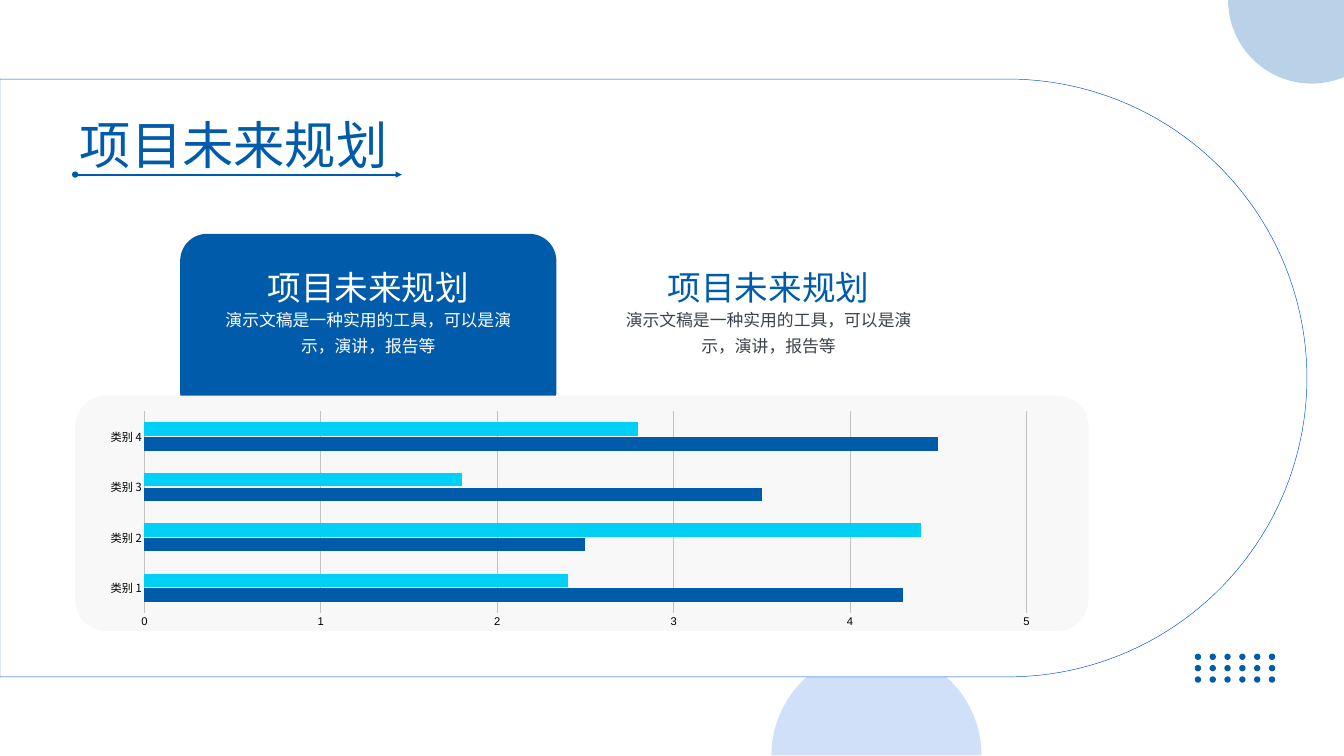
"""Build the project planning slide with a two-series bar chart."""
import math
from dataclasses import dataclass

from lxml import etree
from pptx import Presentation
from pptx import util as u
from pptx.chart import data as cd
from pptx.dml import color
from pptx.enum import chart as ce, shapes, text
from pptx.oxml import ns

Cm = u.Cm
HEADING = "项目未来规划"
BODY = "演示文稿是一种实用的工具，可以是演示，演讲，报告等"


@dataclass(frozen=True)
class Theme:
    """Colours, fonts and type sizes of the slide."""
    blue: str = "005BAB"
    outline: str = "0058E0"
    cyan: str = "00CFF6"
    white: str = "FFFFFF"
    panel: str = "F8F8F8"
    grid: str = "C2C2C2"
    grey: str = "3B424B"
    black: str = "000000"
    cjk: str = "Noto Sans CJK SC"
    latin: str = "Arial"
    title: float = 55
    heading: float = 36
    body: float = 18
    label: float = 12


T = Theme()


def rgb(value):
    """Return a hex string as a colour."""
    return color.RGBColor.from_string(value)


def paint(sp, fill, alpha=None, line=None):
    """Give a shape a flat fill, with optional opacity and outline."""
    sp.shadow.inherit = False
    sp.fill.solid()
    sp.fill.fore_color.rgb = rgb(fill)
    if alpha:
        clr = sp._element.spPr.find(".//" + ns.qn("a:srgbClr"))
        etree.SubElement(clr, ns.qn("a:alpha"), val=str(alpha * 1000))
    if line:
        sp.line.color.rgb = rgb(line)
        sp.line.width = u.Pt(0.5)
    else:
        sp.line.fill.background()


def add_arc_shape(s, cx, cy, r, start, end, corners=()):
    """Add a closed outline made of a circular arc, in degrees, and corners."""
    steps = 90
    angles = [math.radians(start + (end - start) * i / steps) for i in range(steps + 1)]
    points = [(cx + r * math.cos(a), cy + r * math.sin(a)) for a in angles]
    points = [(Cm(x), Cm(y)) for x, y in points + list(corners)]
    builder = s.shapes.build_freeform(*points[0])
    builder.add_line_segments(points[1:], close=True)
    return builder.convert_to_shape()


def add_rounded(s, x, y, w, h, radius, fill):
    """Add a rounded rectangle with the given corner radius."""
    kind = shapes.MSO_SHAPE.ROUNDED_RECTANGLE
    sp = s.shapes.add_shape(kind, Cm(x), Cm(y), Cm(w), Cm(h))
    sp.adjustments[0] = radius / min(w, h)
    paint(sp, fill)


def add_dots(s, x, y, cols, rows):
    """Add a grid of small dots."""
    for row in range(rows):
        for col in range(cols):
            sp = s.shapes.add_shape(shapes.MSO_SHAPE.OVAL, Cm(x + col * 0.56),
                                    Cm(y + row * 0.43), Cm(0.24), Cm(0.24))
            paint(sp, T.blue)


def add_arrow(s, x1, x2, y):
    """Add a horizontal arrow that starts with a dot."""
    sp = s.shapes.add_connector(shapes.MSO_CONNECTOR.STRAIGHT, Cm(x1), Cm(y), Cm(x2), Cm(y))
    sp.line.color.rgb = rgb(T.blue)
    sp.line.width = u.Pt(2.25)
    ln = sp.line._get_or_add_ln()
    etree.SubElement(ln, ns.qn("a:headEnd"), type="oval")
    etree.SubElement(ln, ns.qn("a:tailEnd"), type="triangle")
    etree.SubElement(sp._element.spPr, ns.qn("a:effectLst"))


def set_font(font, size, name, fill):
    """Set size, typeface and colour of a font, East Asian face included."""
    font.size, font.name = u.Pt(size), name
    font.color.rgb = rgb(fill)
    ea = etree.Element(ns.qn("a:ea"), typeface=name)
    font._element.find(ns.qn("a:latin")).addnext(ea)


def add_text(s, x, y, w, h, content, size, fill, spacing):
    """Add a centred text box with exact line spacing."""
    tf = s.shapes.add_textbox(Cm(x), Cm(y), Cm(w), Cm(h)).text_frame
    tf.word_wrap = True
    tf.margin_left = tf.margin_right = tf.margin_top = tf.margin_bottom = 0
    tf.text = content
    p = tf.paragraphs[0]
    p.alignment = text.PP_ALIGN.CENTER
    p.line_spacing = u.Pt(spacing)
    set_font(p.runs[0].font, size, T.cjk, fill)


def add_plan(s, center, heading_fill, body_fill):
    """Add a heading with its description around a centre line."""
    add_text(s, center - 3.85, 10.08, 7.7, 1.5, HEADING, T.heading, heading_fill, 43.2)
    add_text(s, center - 5.54, 11.48, 11.08, 1.96, BODY, T.body, body_fill, 28.1)


def place_plot(chart, frame, plot):
    """Fix the inner plot area inside the chart frame."""
    area = chart._chartSpace.chart.plotArea
    for old in area.findall(ns.qn("c:layout")):
        area.remove(old)
    layout = etree.Element(ns.qn("c:layout"))
    area.insert(0, layout)
    manual = etree.SubElement(layout, ns.qn("c:manualLayout"))
    fx, fy, fw, fh = frame
    x, y, w, h = plot
    values = dict(layoutTarget="inner", xMode="edge", yMode="edge",
                  x=(x - fx) / fw, y=(y - fy) / fh, w=w / fw, h=h / fh)
    for tag, value in values.items():
        etree.SubElement(manual, ns.qn("c:" + tag), val=str(value))


def add_bars(s, frame, plot):
    """Add the clustered bar chart."""
    data = cd.CategoryChartData()
    data.categories = [f"类别 {n}" for n in range(1, 5)]
    data.add_series("系列 1", (4.3, 2.5, 3.5, 4.5))
    data.add_series("系列 2", (2.4, 4.4, 1.8, 2.8))
    kind = ce.XL_CHART_TYPE.BAR_CLUSTERED
    chart = s.shapes.add_chart(kind, *map(Cm, frame), data).chart
    chart.has_legend = chart.has_title = False
    bars = chart.plots[0]
    bars.vary_by_categories = False
    bars.gap_width, bars.overlap = 165, -10
    for series, fill in zip(bars.series, (T.blue, T.cyan)):
        series.format.fill.solid()
        series.format.fill.fore_color.rgb = rgb(fill)
    cat, val = chart.category_axis, chart.value_axis
    val.minimum_scale, val.maximum_scale, val.major_unit = 0, 5, 1
    val.tick_labels.number_format = "0"
    val.tick_labels.number_format_is_linked = False
    val.format.line.fill.background()
    for line in (val.major_gridlines.format.line, cat.format.line):
        line.color.rgb = rgb(T.grid)
        line.width = u.Pt(0.75)
    for axis, name in ((cat, T.cjk), (val, T.latin)):
        axis.major_tick_mark = ce.XL_TICK_MARK.NONE
        set_font(axis.tick_labels.font, T.label, name, T.black)
    place_plot(chart, frame, plot)


def main():
    """Compose the slide and save it."""
    prs = Presentation()
    prs.slide_width, prs.slide_height = Cm(50.8), Cm(28.58)
    s = prs.slides.add_slide(prs.slide_layouts[6])
    paint(add_arc_shape(s, 33.13, 28.56, 3.97, 180, 360), T.outline, alpha=18)
    add_dots(s, 45.16, 24.71, 6, 3)
    stage = add_arc_shape(s, 38.1, 14.29, 11.3, -90, 90, [(0, 25.59), (0, 2.99)])
    paint(stage, T.white, line=T.outline)
    add_arrow(s, 2.84, 15.19, 6.6)
    add_text(s, 2.84, 4.29, 11.99, 2.36, HEADING, T.title, T.blue, 66)
    add_rounded(s, 6.81, 8.84, 14.22, 7.01, 1.02, T.blue)
    add_rounded(s, 2.84, 14.96, 38.3, 8.89, 1.17, T.panel)
    add_bars(s, (3.56, 15.24, 35.8, 8.6), (5.46, 15.55, 33.34, 7.62))
    add_plan(s, 13.92, T.white, T.white)
    add_plan(s, 29.05, T.blue, T.grey)
    corner = add_arc_shape(s, 49.58, 0, 3.16, 67.3, 180, [(50.8, 0)])
    paint(corner, T.blue, alpha=27)
    prs.save("out.pptx")


if __name__ == "__main__":
    main()
